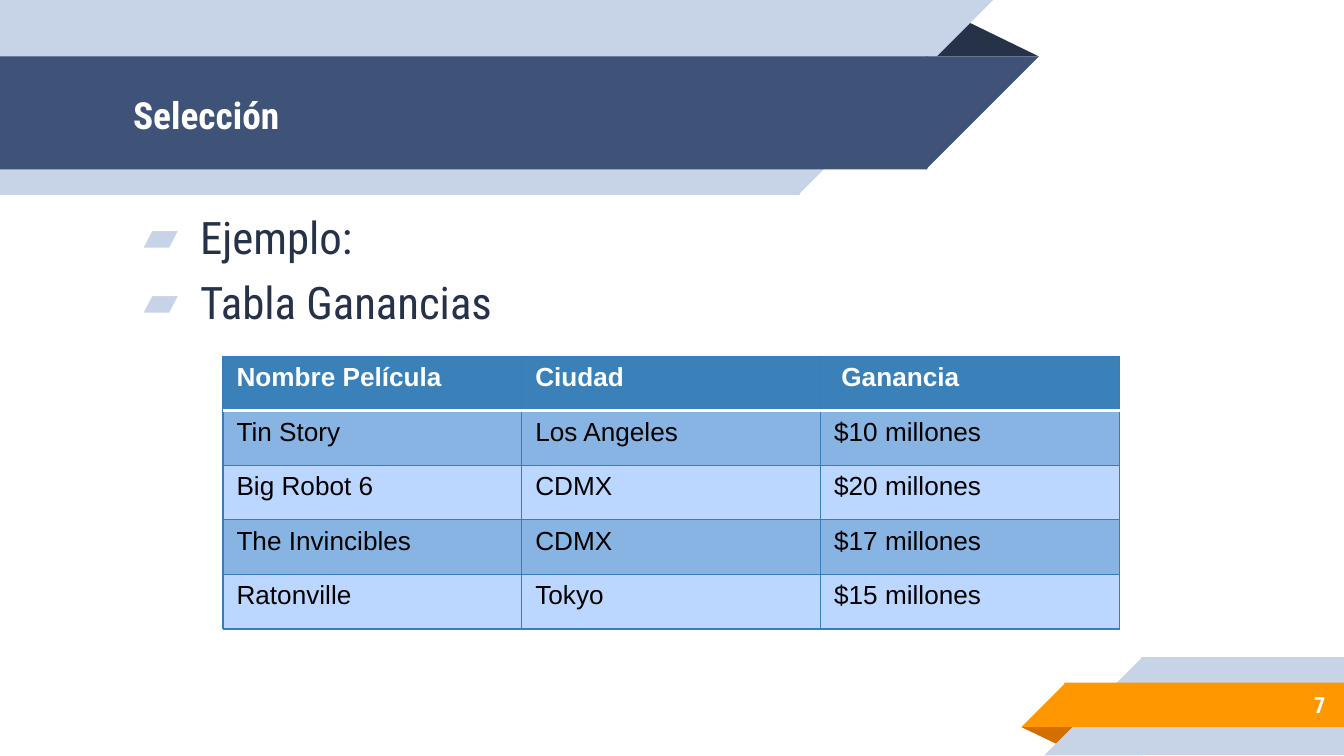
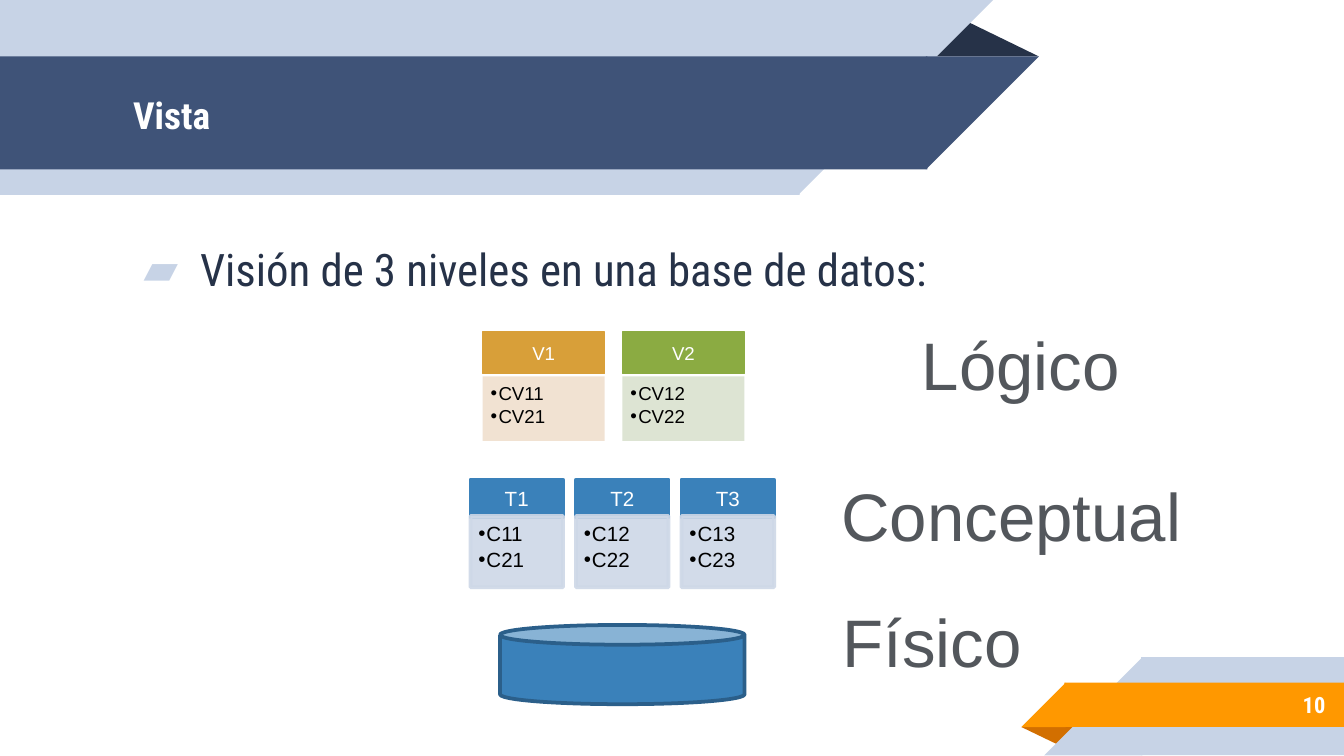
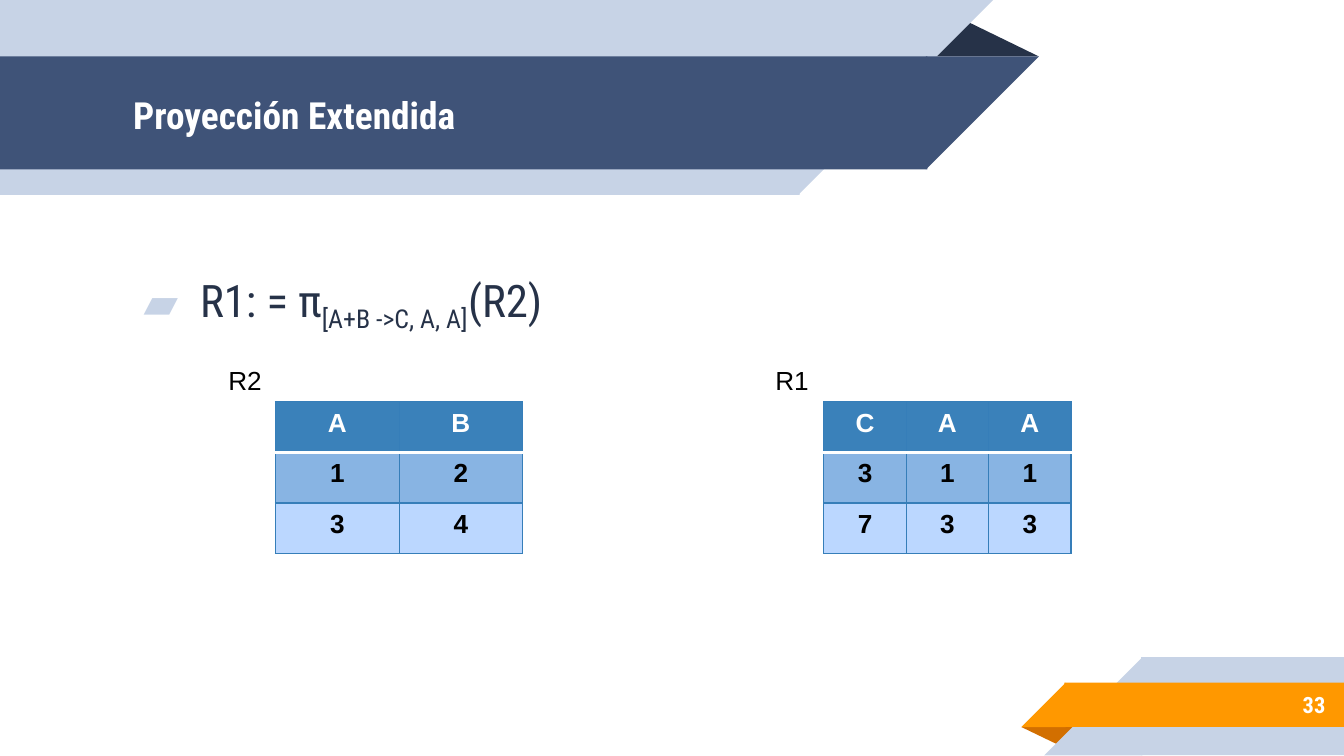
"""Build three database lecture slides: selection, views and extended projection."""
from lxml.etree import SubElement
from pptx import Presentation
from pptx.dml.color import RGBColor
from pptx.enum.shapes import MSO_SHAPE as Preset
from pptx.enum.text import MSO_ANCHOR as Anchor, PP_ALIGN as Align
from pptx.oxml.ns import qn
from pptx.util import Inches, Pt

COLORS = {
    "navy": "3F5378", "dark": "263248", "pale": "C7D3E6", "orange": "FF9800",
    "rust": "D26F00", "white": "FFFFFF", "black": "000000", "blue": "3A81BA",
    "border": "367EB9", "band": "88B4E3", "light": "BBD7FF", "rim": "2B5F8A",
    "blue tint": "CED8E7", "ochre": "D89F39", "ochre tint": "F0DFCE",
    "green": "8BAB42", "green tint": "DAE2CF", "gray": "53575C", "silver": "C5C7CA",
}
RGB = {name: RGBColor.from_string(value) for name, value in COLORS.items()}
HEADING_FONT, PLAIN_FONT = "Roboto Condensed", "Arial"


def add_block(slide, box, text="", size=14, color="black", font=PLAIN_FONT, preset=None,
              fill=None, line=None, line_width=2):
    """Add a text box, or a filled preset shape, with uniformly formatted text."""
    place = [Inches(value) for value in box]
    if preset is None:
        shape = slide.shapes.add_textbox(*place)
    else:
        shape = slide.shapes.add_shape(preset, *place)
        shape.shadow.inherit = False
        shape.fill.solid()
        shape.fill.fore_color.rgb = RGB[fill]
        if line:
            shape.line.color.rgb = RGB[line]
            shape.line.width = Pt(line_width)
        else:
            shape.line.fill.background()
    shape.text_frame.text = text
    for paragraph in shape.text_frame.paragraphs:
        for run in paragraph.runs:
            run.font.name = font
            run.font.size = Pt(size)
            run.font.color.rgb = RGB[color]
    return shape


def add_bullet(paragraph, character, color, margin, hanging):
    """Give a paragraph a coloured bullet with a hanging indent."""
    properties = paragraph._p.get_or_add_pPr()
    properties.set("marL", str(Inches(margin)))
    properties.set("indent", str(-Inches(hanging)))
    bullet_color = SubElement(properties, qn("a:buClr"))
    SubElement(bullet_color, qn("a:srgbClr"), val=COLORS[color])
    SubElement(properties, qn("a:buFont"), typeface=PLAIN_FONT)
    SubElement(properties, qn("a:buChar"), char=character)


presentation = Presentation()
presentation.slide_width = Inches(10)
presentation.slide_height = Inches(10) * 9 // 16
layout = presentation.slide_layouts[5]
for placeholder in list(layout.placeholders)[1:]:
    layout.shapes.element.remove(placeholder.element)

pages = [
    ("Selección", "7", 0.11, ["Ejemplo:", "Tabla Ganancias"]),
    ("Vista", "10", 0.35, ["Visión de 3 niveles en una base de datos:"]),
    ("Proyección Extendida", "33", 0.58, ["R1: = π|[A+B ->C, A, A]|(R2)"]),
]
for title_text, number_text, top_margin, lines in pages:
    slide = presentation.slides.add_slide(layout)
    title = slide.shapes.title
    title.left, title.top, title.width, title.height = map(Inches, (0.89, 0.43, 6.01, 0.84))
    title.text_frame.text = title_text
    title.text_frame.vertical_anchor = Anchor.MIDDLE
    title.text_frame.margin_left = Inches(0.1)
    title_paragraph = title.text_frame.paragraphs[0]
    title_paragraph.alignment = Align.LEFT
    title_font = title_paragraph.runs[0].font
    title_font.name, title_font.size, title_font.bold = HEADING_FONT, Pt(20), True
    title_font.color.rgb = RGB["white"]

    body = add_block(slide, (0.89, 1.45, 6.71, 3.44))
    frame = body.text_frame
    frame.word_wrap = True
    frame.margin_left = frame.margin_right = Inches(0.1)
    frame.margin_top = Inches(top_margin)
    for index, line in enumerate(lines):
        paragraph = frame.add_paragraph() if index else frame.paragraphs[0]
        paragraph.space_before = Pt(6)
        add_bullet(paragraph, "▰", "pale", 0.5, 0.42)
        for part_index, part in enumerate(line.split("|")):
            run = paragraph.add_run()
            run.text = part
            run.font.name, run.font.size = HEADING_FONT, Pt(24)
            run.font.color.rgb = RGB["dark"]
            if part_index % 2:
                list(body.element.iter(qn("a:rPr")))[-1].set("baseline", "-25000")

    number = add_block(slide, (8.33, 5.07, 1.63, 0.35), number_text, 12, "white", HEADING_FONT)
    number.text_frame.word_wrap = True
    number.text_frame.vertical_anchor = Anchor.MIDDLE
    number.text_frame.paragraphs[0].alignment = Align.RIGHT
    number.text_frame.paragraphs[0].runs[0].font.bold = True

selection, views, projection = presentation.slides

ribbons = [
    (Preset.ISOSCELES_TRIANGLE, (6.88, 0.14, 0.85, 0.28), "dark", 0),
    (Preset.RECTANGLE, (0, 0, 5.95, 1.45), "pale", 0),
    (Preset.RIGHT_TRIANGLE, (5.94, 0, 1.45, 1.45), "pale", 90),
    (Preset.RECTANGLE, (0, 0.42, 6.9, 0.84), "navy", 0),
    (Preset.RIGHT_TRIANGLE, (6.89, 0.42, 0.84, 0.84), "navy", 90),
    (Preset.ISOSCELES_TRIANGLE, (7.6, 5.41, 0.43, 0.14), "rust", 180),
    (Preset.RECTANGLE, (8.49, 4.89, 1.51, 0.73), "pale", 0),
    (Preset.RIGHT_TRIANGLE, (7.77, 4.89, 0.73, 0.73), "pale", 270),
    (Preset.RECTANGLE, (7.92, 5.08, 2.08, 0.33), "orange", 0),
    (Preset.RIGHT_TRIANGLE, (7.6, 5.08, 0.33, 0.33), "orange", 270),
]
ribbon_shapes = []
for preset, box, fill, rotation in ribbons:
    ribbon = add_block(selection, box, preset=preset, fill=fill)
    ribbon.rotation = rotation
    if preset == Preset.ISOSCELES_TRIANGLE:
        ribbon.adjustments[0] = 0.324
    ribbon_shapes.append(ribbon)
for position, ribbon in enumerate(ribbon_shapes, 2):
    layout.shapes.element.insert(position, ribbon.element)

earnings = [
    ["Nombre Película", "Ciudad", " Ganancia"],
    ["Tin Story", "Los Angeles", "$10 millones"],
    ["Big Robot 6", "CDMX", "$20 millones"],
    ["The Invincibles", "CDMX", "$17 millones"],
    ["Ratonville", "Tokyo", "$15 millones"],
]
source_rows = [["A", "B"], ["1", "2"], ["3", "4"]]
result_rows = [["C", "A", "A"], ["3", "1", "1"], ["7", "3", "3"]]
tables = [
    (selection, (1.66, 2.65, 6.67, 2.03), earnings, Align.LEFT, False),
    (projection, (2.05, 2.99, 1.84, 1.13), source_rows, Align.CENTER, True),
    (projection, (6.13, 2.99, 1.84, 1.13), result_rows, Align.CENTER, True),
]
for slide, box, rows, alignment, bold_body in tables:
    place = [Inches(value) for value in box]
    table = slide.shapes.add_table(len(rows), len(rows[0]), *place).table
    for row_index, row in enumerate(rows):
        for column_index, value in enumerate(row):
            cell = table.cell(row_index, column_index)
            cell.text = value
            paragraph = cell.text_frame.paragraphs[0]
            paragraph.alignment = alignment
            font = paragraph.runs[0].font
            font.name, font.size = PLAIN_FONT, Pt(14)
            font.bold = row_index == 0 or bold_body
            font.color.rgb = RGB["black" if row_index else "white"]
            properties = cell._tc.get_or_add_tcPr()
            for side in ("lnL", "lnR", "lnT", "lnB"):
                under_header = (row_index, side) in ((0, "lnB"), (1, "lnT"))
                width = Pt(2 if under_header else 0.75)
                border = SubElement(properties, qn(f"a:{side}"), w=str(width))
                border_fill = SubElement(border, qn("a:solidFill"))
                border_color = COLORS["white" if under_header else "border"]
                SubElement(border_fill, qn("a:srgbClr"), val=border_color)
            cell.fill.solid()
            row_fill = "blue" if row_index == 0 else ("light", "band")[row_index % 2]
            cell.fill.fore_color.rgb = RGB[row_fill]

for left, name in ((1.6, "R2"), (5.67, "R1")):
    label = add_block(projection, (left, 2.66, 0.45, 0.34), name)
    label.text_frame.word_wrap = False

add_block(views, (3.72, 4.65, 1.82, 0.59), preset=Preset.CAN, fill="blue", line="rim")

cards = [
    (f"T{number}", f"C1{number}\nC2{number}", 3.5 + 0.785 * (number - 1), 3.57, 0.69,
     0.28, 0.27, 0.53, 11, "blue", "blue tint", 2, "blue tint")
    for number in (1, 2, 3)
] + [
    (f"V{number}", f"CV1{number}\nCV2{number}", 3.59 + 1.04 * (number - 1), 2.47, 0.91,
     0.31, 0.33, 0.48, 10, color, f"{color} tint", 0.75, None)
    for number, color in ((1, "ochre"), (2, "green"))
]
for (name, columns, left, top, width, header_height, offset, list_height, size, color, tint,
     line_width, list_line) in cards:
    header = add_block(views, (left, top, width, header_height), name, size, "white",
                       preset=Preset.RECTANGLE, fill=color, line=color, line_width=line_width)
    header.text_frame.vertical_anchor = Anchor.MIDDLE
    header.text_frame.paragraphs[0].alignment = Align.CENTER
    column_list = add_block(views, (left, top + offset, width, list_height), columns, size,
                            preset=Preset.RECTANGLE, fill=tint, line=list_line)
    for color_element in column_list.element.spPr.iter(qn("a:srgbClr")):
        SubElement(color_element, qn("a:alpha"), val="90000")
    frame = column_list.text_frame
    frame.vertical_anchor = Anchor.TOP
    frame.margin_left = frame.margin_top = Inches(0.06)
    for paragraph in frame.paragraphs:
        paragraph.alignment = Align.LEFT
        paragraph.line_spacing = 0.9
        paragraph.space_after = Pt(0.15 * size)
        add_bullet(paragraph, "•", "black", 0.06, 0.06)

levels = [
    ("Lógico", (6.75, 2.36, 1.69, 0.71)),
    ("Conceptual", (6.15, 3.48, 2.75, 0.71)),
    ("Físico", (6.16, 4.42, 1.55, 0.71)),
]
for name, box in levels:
    level = add_block(views, box, name, 36)
    level.text_frame.word_wrap = False
    paragraph = level.text_frame.paragraphs[0]
    paragraph.alignment = Align.CENTER
    text_fill = paragraph.runs[0].font.fill
    text_fill.gradient()
    text_fill.gradient_angle = 270
    for stop, position, color in zip(text_fill.gradient_stops, (0.21, 0.88), ("gray", "silver")):
        stop.position = position
        stop.color.rgb = RGB[color]

presentation.save("out.pptx")
